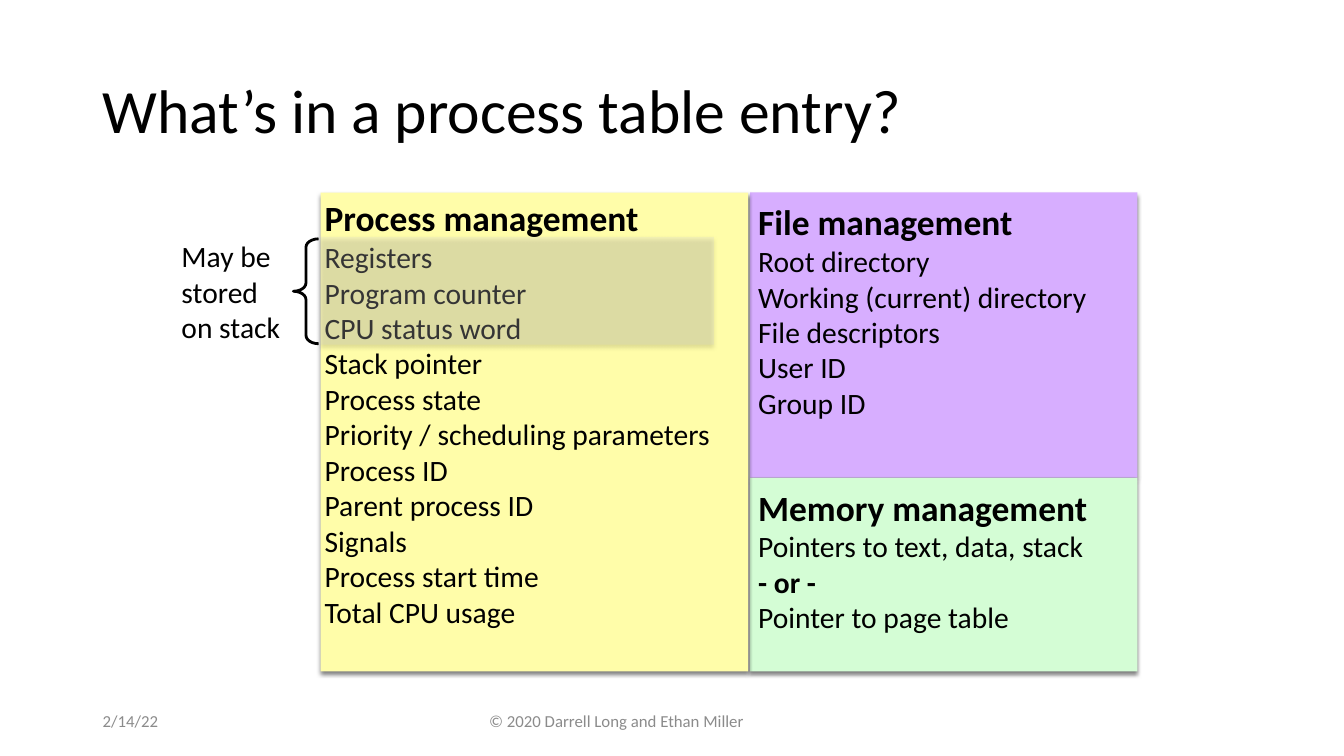
from pptx import Presentation
from pptx.dml.color import RGBColor
from pptx.enum.shapes import MSO_SHAPE
from pptx.enum.text import MSO_ANCHOR, PP_ALIGN
from pptx.oxml import parse_xml
from pptx.oxml.ns import nsdecls, qn
from pptx.util import Inches, Pt
from lxml import etree

BLACK = RGBColor(0x00, 0x00, 0x00)
GRAY = RGBColor(0x8B, 0x8B, 0x8B)
YELLOW = RGBColor(0xFF, 0xFD, 0xA9)
PURPLE = RGBColor(0xD7, 0xAE, 0xFF)
GREEN = RGBColor(0xD4, 0xFD, 0xD5)
SILVER = RGBColor(0xD6, 0xD6, 0xD6)

FONT = "Calibri"
HEADING_SIZE, BODY_SIZE, FOOTER_SIZE = 25.3, 21.1, 12
PANEL_TOP = 1.91

PROCESS_FIELDS = [
    "Registers", "Program counter", "CPU status word", "Stack pointer",
    "Process state", "Priority / scheduling parameters", "Process ID",
    "Parent process ID", "Signals", "Process start time", "Total CPU usage",
]
FILE_FIELDS = ["Root directory", "Working (current) directory",
               "File descriptors", "User ID", "Group ID"]
MEMORY_FIELDS = ["Pointers to text, data, stack", "- or -",
                 "Pointer to page table"]


def write_paragraph(paragraph, text, size=BODY_SIZE, bold=False, color=BLACK,
                    align=PP_ALIGN.LEFT, spacing=None):
    """Fill one paragraph; a vertical tab in the text is a line break."""
    paragraph.text = text
    paragraph.alignment = align
    if spacing:
        paragraph.line_spacing = spacing
    for run in paragraph.runs:
        run.font.name = FONT
        run.font.size = Pt(size)
        run.font.bold = bold
        run.font.color.rgb = color


def set_margins(frame, across, down):
    frame.margin_left = frame.margin_right = Inches(across)
    frame.margin_top = frame.margin_bottom = Inches(down)


def add_label(slide, box, text, margins=(0.1, 0.05), wrap=True, **style):
    label = slide.shapes.add_textbox(*map(Inches, box))
    frame = label.text_frame
    frame.word_wrap = wrap
    frame.vertical_anchor = MSO_ANCHOR.MIDDLE
    set_margins(frame, *margins)
    write_paragraph(frame.paragraphs[0], text, **style)


def add_block(slide, box, color):
    """Borderless rectangle with a soft shadow below it."""
    block = slide.shapes.add_shape(MSO_SHAPE.RECTANGLE, *map(Inches, box))
    block.fill.solid()
    block.fill.fore_color.rgb = color
    block.line.fill.background()
    block.shadow.inherit = False
    effects = block._element.spPr.find(qn("a:effectLst"))
    effects.append(parse_xml(
        f'<a:outerShdw {nsdecls("a")} blurRad="{Pt(3)}" dist="{Pt(2)}" '
        'dir="5400000" algn="ctr" rotWithShape="0"><a:srgbClr val="000000">'
        '<a:alpha val="50000"/></a:srgbClr></a:outerShdw>'))
    return block


def add_panel(slide, box, color, heading, fields, margin):
    frame = add_block(slide, box, color).text_frame
    frame.word_wrap = True
    frame.vertical_anchor = MSO_ANCHOR.TOP
    set_margins(frame, margin, margin)
    write_paragraph(frame.paragraphs[0], heading, size=HEADING_SIZE, bold=True)
    for field in fields:
        write_paragraph(frame.add_paragraph(), field, bold=field == "- or -")


def add_highlight(slide, box, color, opacity):
    highlight = add_block(slide, box, color)
    rgb = highlight._element.spPr.find(qn("a:solidFill")).find(qn("a:srgbClr"))
    etree.SubElement(rgb, qn("a:alpha")).set("val", str(opacity * 1000))


def add_brace(slide, box):
    brace = slide.shapes.add_shape(MSO_SHAPE.LEFT_BRACE, *map(Inches, box))
    brace.adjustments[0] = 0.33
    brace.fill.background()
    brace.line.color.rgb = BLACK
    brace.line.width = Pt(2)
    brace.shadow.inherit = False


def main():
    deck = Presentation()
    deck.slide_width, deck.slide_height = Inches(13.33), Inches(7.5)
    slide = deck.slides.add_slide(deck.slide_layouts[6])

    # Title
    add_label(slide, (0.92, 0.4, 11.5, 1.45),
              "What’s in a process table entry?", size=44, spacing=0.9)

    # Parts of the process table entry
    add_panel(slide, (7.44, PANEL_TOP, 3.84, 2.83), PURPLE,
              "File management", FILE_FIELDS, margin=0.08)
    add_panel(slide, (7.44, PANEL_TOP + 2.83, 3.84, 1.92), GREEN,
              "Memory management", MEMORY_FIELDS, margin=0.08)
    add_panel(slide, (3.18, PANEL_TOP, 4.24, 4.75), YELLOW,
              "Process management", PROCESS_FIELDS, margin=0.04)

    # Fields that may live on the stack
    add_brace(slide, (2.91, 2.37, 0.25, 1.04))
    add_label(slide, (1.76, 2.32, 1.07, 1.14), "May be\vstored\von stack",
              margins=(0.04, 0.04), wrap=False)
    add_highlight(slide, (3.18, 2.35, 3.9, 1.07), SILVER, opacity=25)

    # Footer
    add_label(slide, (3.31, 6.95, 5.61, 0.4),
              "© 2020 Darrell Long and Ethan Miller",
              size=FOOTER_SIZE, color=GRAY, align=PP_ALIGN.CENTER)
    add_label(slide, (0.92, 6.95, 1.9, 0.4), "2/14/22",
              size=FOOTER_SIZE, color=GRAY)

    deck.save("out.pptx")


if __name__ == "__main__":
    main()
